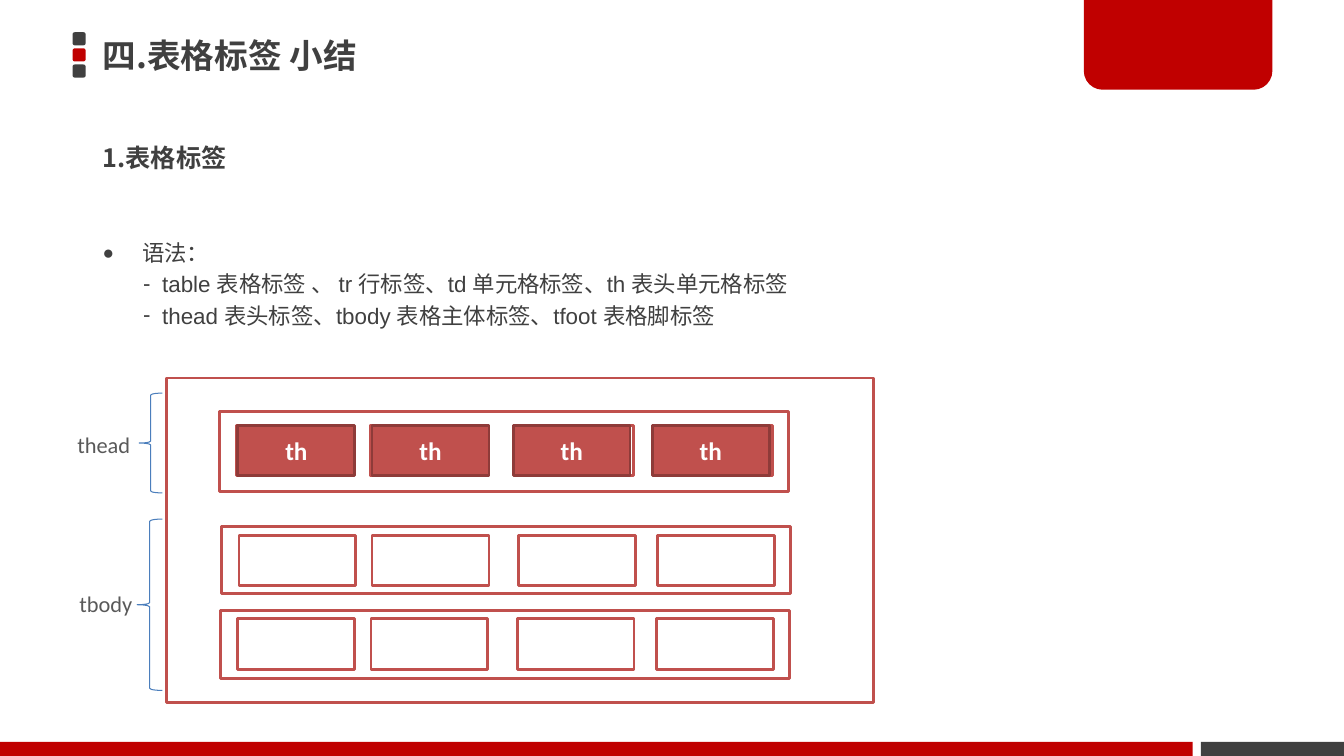
from pptx import Presentation
from pptx.dml.color import RGBColor
from pptx.enum.shapes import MSO_SHAPE
from pptx.enum.text import MSO_ANCHOR, PP_ALIGN
from pptx.oxml.ns import qn
from pptx.util import Inches, Pt
from lxml.etree import SubElement

# Content
TITLE = "四.表格标签 小结"
HEAD = "1.表格标签"
SYNTAX = [
    ("语法：", "●", 0.39, 0.39),
    ("table 表格标签 、 tr 行标签、td 单元格标签、th 表头单元格标签", "-", 0.59, 0.19),
    ("thead 表头标签、tbody 表格主体标签、tfoot 表格脚标签", "-", 0.59, 0.19),
]
HEX = {"dark": "404040", "red": "C00000", "white": "FFFFFF", "brick": "C0504D",
       "edge": "8E3B39", "blue": "4B7EBC", "gray": "595959"}
CJK = "Noto Sans CJK JP"
COLS = (0.17, 1.49, 2.94, 4.32)
HEAD_COLS = (0.18, 1.51, 2.91, 4.29)
CELL = (1.16, 0.5)
# Each row: left, top, height, gap above its cells
ROWS = [(2.18, 4.08, 0.8, 0.14), (2.2, 5.22, 0.67, 0.09), (2.19, 6.06, 0.67, 0.08)]
ROW_W = 5.64
# Each group: name, label box, brace box
GROUPS = [
    ("thead", (0.67, 4.23, 0.73, 0.35), (1.38, 3.9, 0.23, 0.99)),
    ("tbody", (0.69, 5.81, 0.73, 0.37), (1.36, 5.15, 0.25, 1.7)),
]
# Text formats
FORMS = {
    "title": {"size": Pt(24), "bold": True, "name": CJK},
    "head": {"size": Pt(18), "bold": True, "name": CJK},
    "body": {"size": Pt(16), "bold": False, "name": "Arial"},
    "cell": {"size": Pt(18), "bold": True, "name": "Calibri"},
    "label": {"size": Pt(16), "bold": False, "name": "Calibri"},
}

deck = Presentation()
deck.slide_width, deck.slide_height = Inches(13.33), Inches(7.5)
slide = deck.slides.add_slide(deck.slide_layouts[5])
shapes = slide.shapes


def rgb(key):
    return RGBColor.from_string(HEX[key])


def write(para, text, form, color):
    run = para.add_run()
    run.text = text
    for key, value in FORMS[form].items():
        setattr(run.font, key, value)
    run.font.color.rgb = rgb(color)
    SubElement(run.font._element, qn("a:ea"), typeface=CJK)


def draw(kind, box, fill=None, line=None, width=2):
    shape = shapes.add_shape(kind, *map(Inches, box))
    shape.shadow.inherit = False
    if fill:
        shape.fill.solid()
        shape.fill.fore_color.rgb = rgb(fill)
    else:
        shape.fill.background()
    if line:
        shape.line.color.rgb = rgb(line)
        shape.line.width = Pt(width)
    else:
        shape.line.fill.background()
    return shape


def add_text(box, wrap=True):
    frame = shapes.add_textbox(*map(Inches, box)).text_frame
    frame.word_wrap = wrap
    return frame


def bullet(para, mark, left, hang):
    props = para._p.get_or_add_pPr()
    props.set("marL", str(Inches(left)))
    props.set("indent", str(-Inches(hang)))
    if mark == "●":
        SubElement(props, qn("a:buSzPct"), val="85000")
    SubElement(props, qn("a:buFont"), typeface="Arial")
    SubElement(props, qn("a:buChar"), char=mark)


# Page frame
for i, color in enumerate(("dark", "red", "dark")):
    draw(MSO_SHAPE.ROUNDED_RECTANGLE, (0.72, 0.32 + 0.16 * i, 0.13, 0.13), color)
draw(MSO_SHAPE.RECTANGLE, (11.91, 7.36, 1.42, 0.14), "dark")
draw(MSO_SHAPE.RECTANGLE, (0, 7.36, 11.83, 0.14), "red")
tab = draw(MSO_SHAPE.ROUND_2_SAME_RECTANGLE, (10.75, 0, 1.87, 0.89), "red")
tab.adjustments[0], tab.adjustments[1] = 0, 0.21

# Title and heading
title = shapes.title
title.left, title.top, title.width, title.height = map(Inches, (0.92, 0.26, 9.59, 0.57))
frames = [(title.text_frame, TITLE, "title"),
          (add_text((0.92, 1.28, 3.06, 0.57)), HEAD, "head")]
for frame, text, form in frames:
    frame.vertical_anchor = MSO_ANCHOR.MIDDLE
    frame.paragraphs[0].alignment = PP_ALIGN.LEFT
    write(frame.paragraphs[0], text, form, "dark")

# Syntax list
frame = add_text((0.92, 2.18, 7.81, 1.27))
frame.margin_top = Inches(0.15)
for i, (text, mark, left, hang) in enumerate(SYNTAX):
    para = frame.add_paragraph() if i else frame.paragraphs[0]
    para.line_spacing = Pt(22.3)
    bullet(para, mark, left, hang)
    write(para, text, "body", "dark")

# Table diagram
draw(MSO_SHAPE.RECTANGLE, (1.65, 3.75, 7.01, 3.22), "white", "brick")
for left, top, high, gap in ROWS:
    draw(MSO_SHAPE.RECTANGLE, (left, top, ROW_W, high), "white", "brick")
    for col in COLS:
        draw(MSO_SHAPE.RECTANGLE, (left + col, top + gap, *CELL), "white", "brick")

# Header cells
left, top, high, gap = ROWS[0]
for col in HEAD_COLS:
    cell = draw(MSO_SHAPE.RECTANGLE, (left + col, top + gap, *CELL), "brick", "edge")
    cell.text_frame.vertical_anchor = MSO_ANCHOR.MIDDLE
    para = cell.text_frame.paragraphs[0]
    para.alignment = PP_ALIGN.CENTER
    write(para, "th", "cell", "white")

# Braces with labels
for name, box, brace in GROUPS:
    write(add_text(box, False).paragraphs[0], name, "label", "gray")
    draw(MSO_SHAPE.LEFT_BRACE, brace, None, "blue", 0.75)

deck.save("out.pptx")
